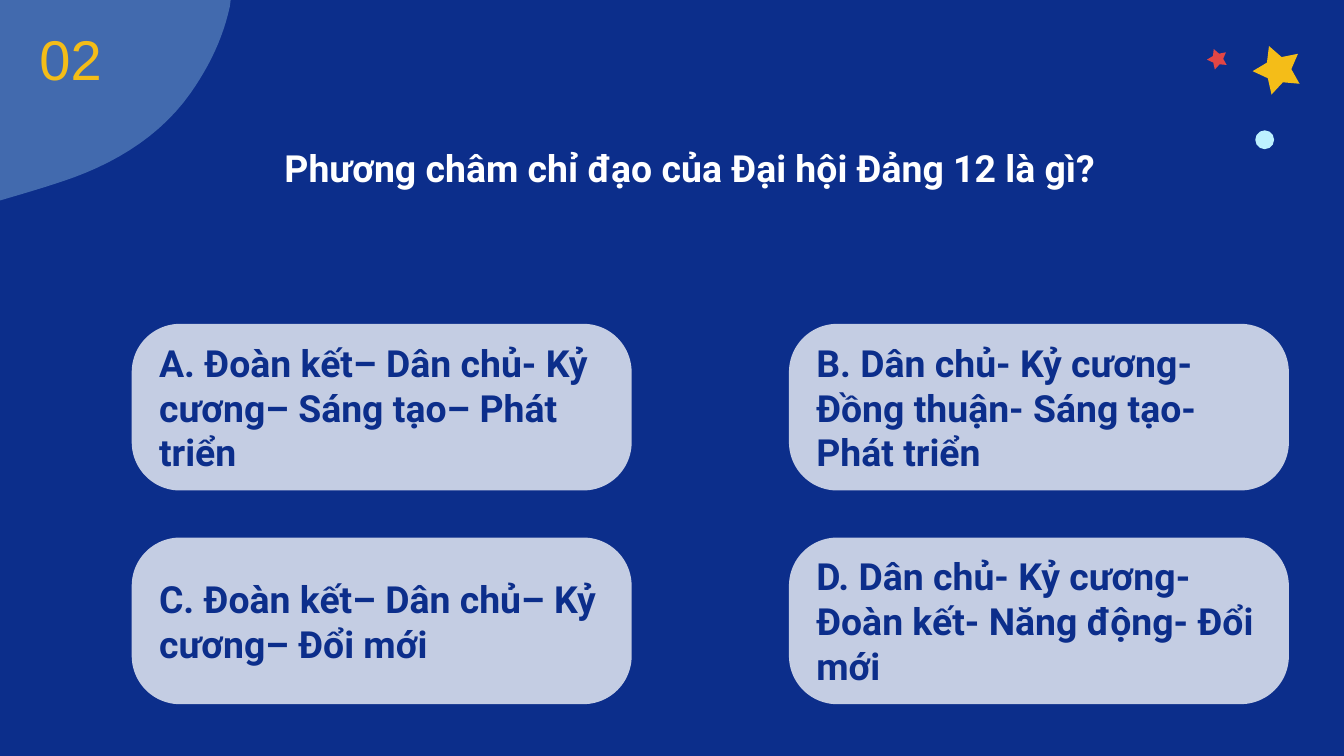
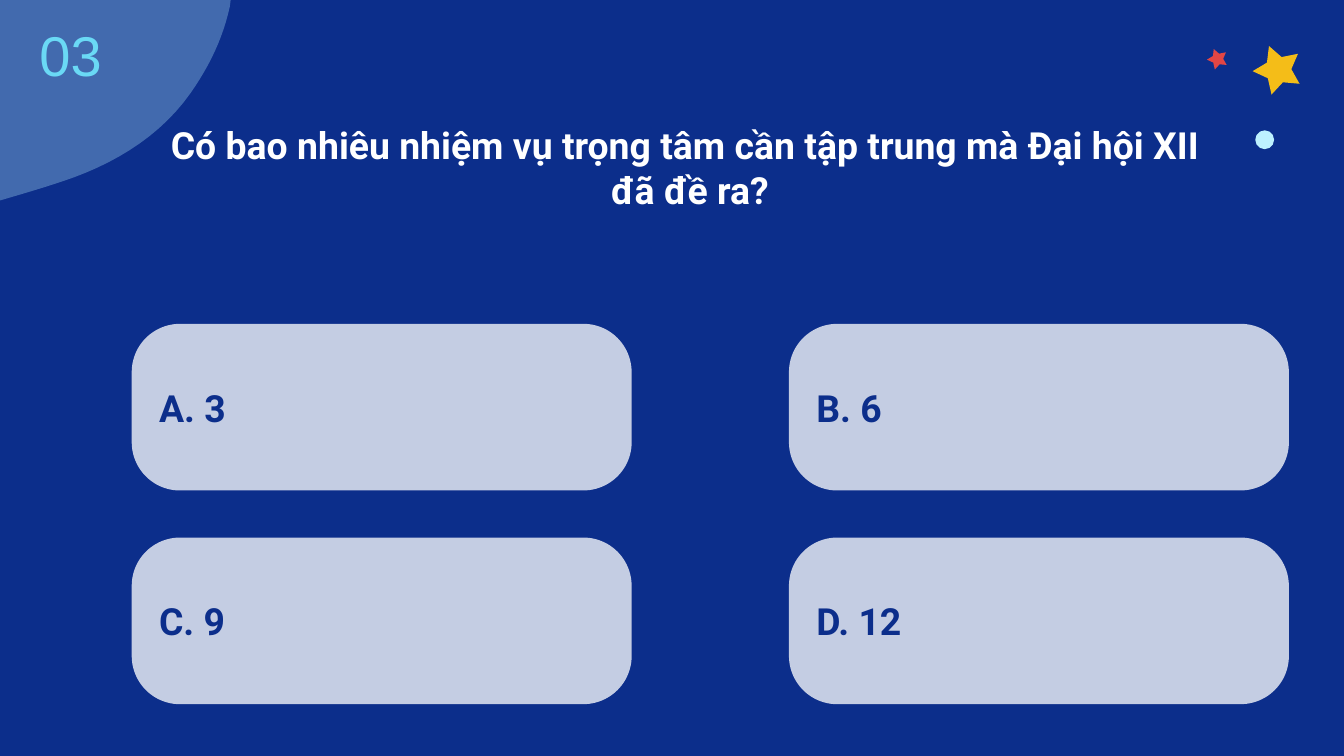
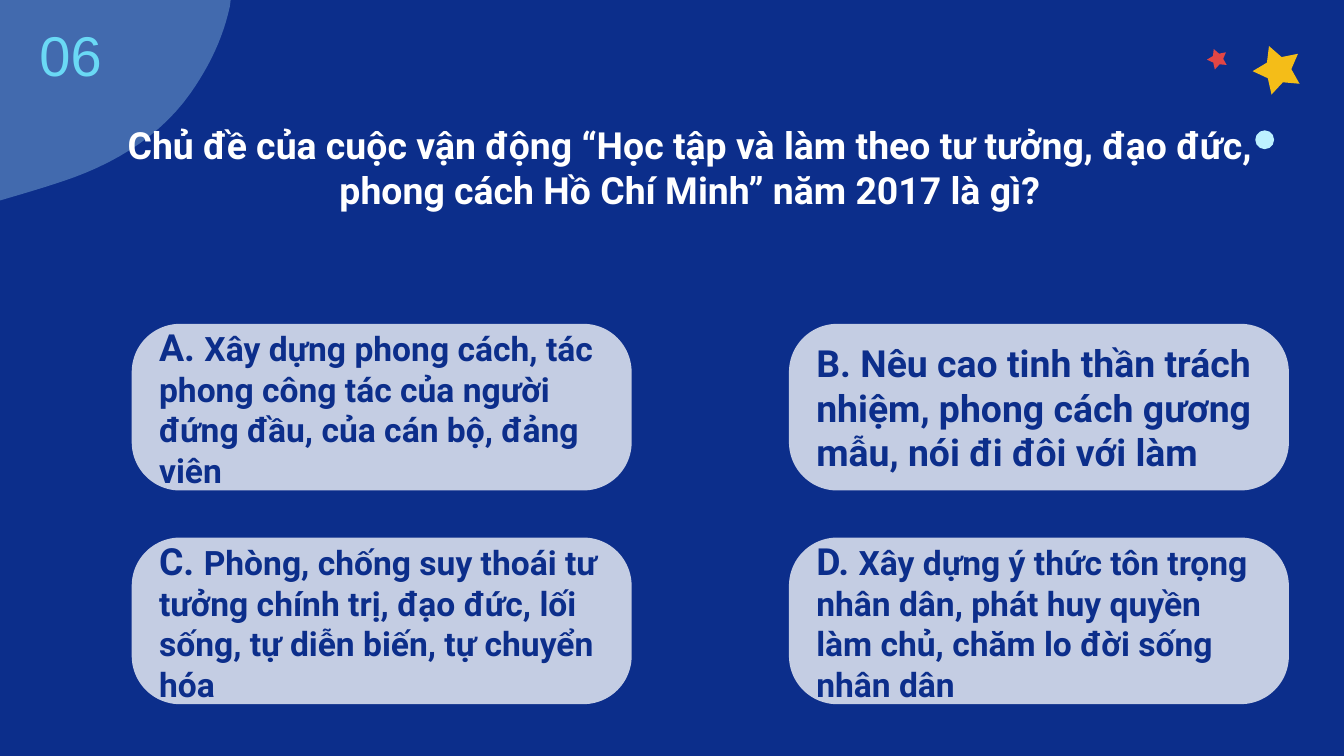
import math

import pptx
import pptx.dml.color
import pptx.enum.shapes
import pptx.enum.text
import pptx.oxml.ns
import pptx.util
from lxml import etree
from pptx.util import Inches

RGBColor = pptx.dml.color.RGBColor
MSO_SHAPE = pptx.enum.shapes.MSO_SHAPE
PP_ALIGN = pptx.enum.text.PP_ALIGN

NAVY = RGBColor(0x0C, 0x2E, 0x8B)
WHITE = RGBColor(0xFF, 0xFF, 0xFF)
ICE = RGBColor(0xBD, 0xF1, 0xFF)
YELLOW = RGBColor(0xF4, 0xBD, 0x18)
RED = RGBColor(0xE2, 0x46, 0x45)
CYAN = RGBColor(0x6A, 0xD9, 0xF5)

LARGE, SMALL = 20, 18

# Answers are (text, size); their letters follow from their order.
QUESTIONS = [
    {
        "number": "02", "number_color": YELLOW, "number_top": 0.22,
        "question": "Phương châm chỉ đạo của Đại hội Đảng 12 là gì?",
        "answers": [
            ("Đoàn kết– Dân chủ- Kỷ cương– Sáng tạo– Phát triển", LARGE),
            ("Dân chủ- Kỷ cương- Đồng thuận- Sáng tạo- Phát triển", LARGE),
            ("Đoàn kết– Dân chủ– Kỷ cương– Đổi mới", LARGE),
            ("Dân chủ- Kỷ cương- Đoàn kết- Năng động- Đổi mới", LARGE),
        ],
    },
    {
        "number": "03", "number_color": CYAN, "number_top": 0.19,
        "question": "Có bao nhiêu nhiệm vụ trọng tâm cần tập trung mà Đại hội XII \nđã đề ra?",
        "answers": [("3", LARGE), ("6", LARGE), ("9", LARGE), ("12", LARGE)],
    },
    {
        "number": "06", "number_color": CYAN, "number_top": 0.19,
        "question": "Chủ đề của cuộc vận động “Học tập và làm theo tư tưởng, đạo đức, "
                    "phong cách Hồ Chí Minh” năm 2017 là gì?",
        "answers": [
            ("Xây dựng phong cách, tác phong công tác của người đứng đầu, "
             "của cán bộ, đảng viên", SMALL),
            ("Nêu cao tinh thần trách nhiệm, phong cách gương mẫu, nói đi đôi với làm", LARGE),
            ("Phòng, chống suy thoái tư tưởng chính trị, đạo đức, lối sống, "
             "tự diễn biến, tự chuyển hóa", SMALL),
            ("Xây dựng ý thức tôn trọng nhân dân, phát huy quyền làm chủ, "
             "chăm lo đời sống nhân dân", SMALL),
        ],
    },
]

ANSWER_LEFT, ANSWER_TOP = 0.98, 2.41
ANSWER_WIDTH, ANSWER_HEIGHT = 3.72, 1.24
COLUMN_STEP, ROW_STEP = 4.89, 1.59

CORNER_START = (1.73, -0.4)
CORNER_CURVES = [
    ((1.74, -0.25), (1.73, -0.1), (1.71, 0.05)),
    ((1.66, 0.28), (1.56, 0.49), (1.42, 0.69)),
    ((1.21, 0.99), (0.9, 1.19), (0.55, 1.32)),
    ((0.27, 1.42), (-0.01, 1.49), (-0.29, 1.58)),
]
CORNER_END = (-0.29, -0.4)

STARS = [(9.51, 0.52, 0.19, YELLOW), (9.06, 0.44, 0.08, RED)]  # centre, radius
STAR_TILT, STAR_INNER = 51, 0.52


def write_text(frame, runs, *, color, font="Roboto", bold=False,
               align=PP_ALIGN.LEFT, top_inset=0.1):
    """Fill the frame with (text, size) runs; a newline becomes a line break."""
    frame.word_wrap = True
    frame.auto_size = pptx.enum.text.MSO_AUTO_SIZE.NONE
    frame.vertical_anchor = pptx.enum.text.MSO_ANCHOR.MIDDLE
    frame.margin_left = frame.margin_right = frame.margin_bottom = Inches(0.1)
    frame.margin_top = Inches(top_inset)
    paragraph = frame.paragraphs[0]
    paragraph.alignment = align
    for text, size in runs:
        for line_index, line in enumerate(text.split("\n")):
            if line_index:
                paragraph.add_line_break()
            run = paragraph.add_run()
            run.text = line
            run.font.name = font
            run.font.size = pptx.util.Pt(size)
            run.font.bold = bold
            run.font.color.rgb = color


def paint(shape, color, opacity=100):
    shape.shadow.inherit = False
    shape.line.fill.background()
    shape.fill.solid()
    shape.fill.fore_color.rgb = color
    if opacity < 100:
        qn = pptx.oxml.ns.qn
        rgb = shape.element.spPr.find(qn("a:solidFill")).find(qn("a:srgbClr"))
        etree.SubElement(rgb, qn("a:alpha")).set("val", str(opacity * 1000))


def add_outline(slide, points):
    start, *rest = [(Inches(x), Inches(y)) for x, y in points]
    builder = slide.shapes.build_freeform(*start)
    builder.add_line_segments(rest)
    return builder.convert_to_shape()


def corner_points(steps=12):
    """Trace the corner's Bézier curves as short segments."""
    points = [CORNER_START]
    for control_1, control_2, end in CORNER_CURVES:
        start = points[-1]
        for step in range(1, steps + 1):
            t = step / steps
            weights = ((1 - t) ** 3, 3 * t * (1 - t) ** 2, 3 * t ** 2 * (1 - t), t ** 3)
            points.append(tuple(
                sum(w * p for w, p in zip(weights, axis))
                for axis in zip(start, control_1, control_2, end)))
    return points + [CORNER_END]


def star_points(x, y, radius):
    points = []
    for corner in range(10):
        angle = math.radians(STAR_TILT + 36 * corner)
        reach = radius * (STAR_INNER if corner % 2 else 1)
        points.append((x + reach * math.sin(angle), y - reach * math.cos(angle)))
    return points


def decorate_layout(layout, slide):
    """Draw the shared decorations on the slide, then move them to its layout."""
    corner = add_outline(slide, corner_points())
    paint(corner, ICE, opacity=31)
    decorations = [corner]
    for x, y, radius, color in STARS:
        star = add_outline(slide, star_points(x, y, radius))
        paint(star, color)
        decorations.append(star)
    dot = slide.shapes.add_shape(
        MSO_SHAPE.OVAL, Inches(9.34), Inches(0.97), Inches(0.14), Inches(0.14))
    paint(dot, ICE)
    decorations.append(dot)
    for decoration in decorations:
        layout.shapes.element.append(decoration.element)


def add_answer(slide, index, text, size):
    row, column = divmod(index, 2)
    card = slide.shapes.add_shape(
        MSO_SHAPE.ROUNDED_RECTANGLE,
        Inches(ANSWER_LEFT + column * COLUMN_STEP), Inches(ANSWER_TOP + row * ROW_STEP),
        Inches(ANSWER_WIDTH), Inches(ANSWER_HEIGHT))
    card.adjustments[0] = 0.29
    paint(card, WHITE, opacity=76)
    letter = f"{'ABCD'[index]}. "
    runs = [(letter + text, LARGE)] if size == LARGE else [(letter, LARGE), (text, size)]
    write_text(card.text_frame, runs, color=NAVY, bold=True)


def fill_question(slide, content):
    title = slide.shapes.title
    title.left, title.top = Inches(0.67), Inches(0.37)
    title.width, title.height = Inches(8.93), Inches(1.41)
    write_text(title.text_frame, [(content["question"], LARGE)], color=WHITE,
               bold=True, align=PP_ALIGN.CENTER, top_inset=0.44)
    for index, (text, size) in enumerate(content["answers"]):
        add_answer(slide, index, text, size)
    number = slide.shapes.add_textbox(
        Inches(0.07), Inches(content["number_top"]), Inches(0.91), Inches(0.42))
    write_text(number.text_frame, [(content["number"], 30)], font="Arial",
               color=content["number_color"], align=PP_ALIGN.CENTER)


def main():
    deck = pptx.Presentation()
    deck.slide_width = Inches(10)
    deck.slide_height = deck.slide_width * 9 // 16
    background = deck.slide_master.background.fill
    background.solid()
    background.fore_color.rgb = NAVY
    title_only = deck.slide_layouts[5]
    slides = [deck.slides.add_slide(title_only) for _ in QUESTIONS]
    decorate_layout(title_only, slides[0])
    for slide, content in zip(slides, QUESTIONS):
        fill_question(slide, content)
    deck.save("out.pptx")


if __name__ == "__main__":
    main()
